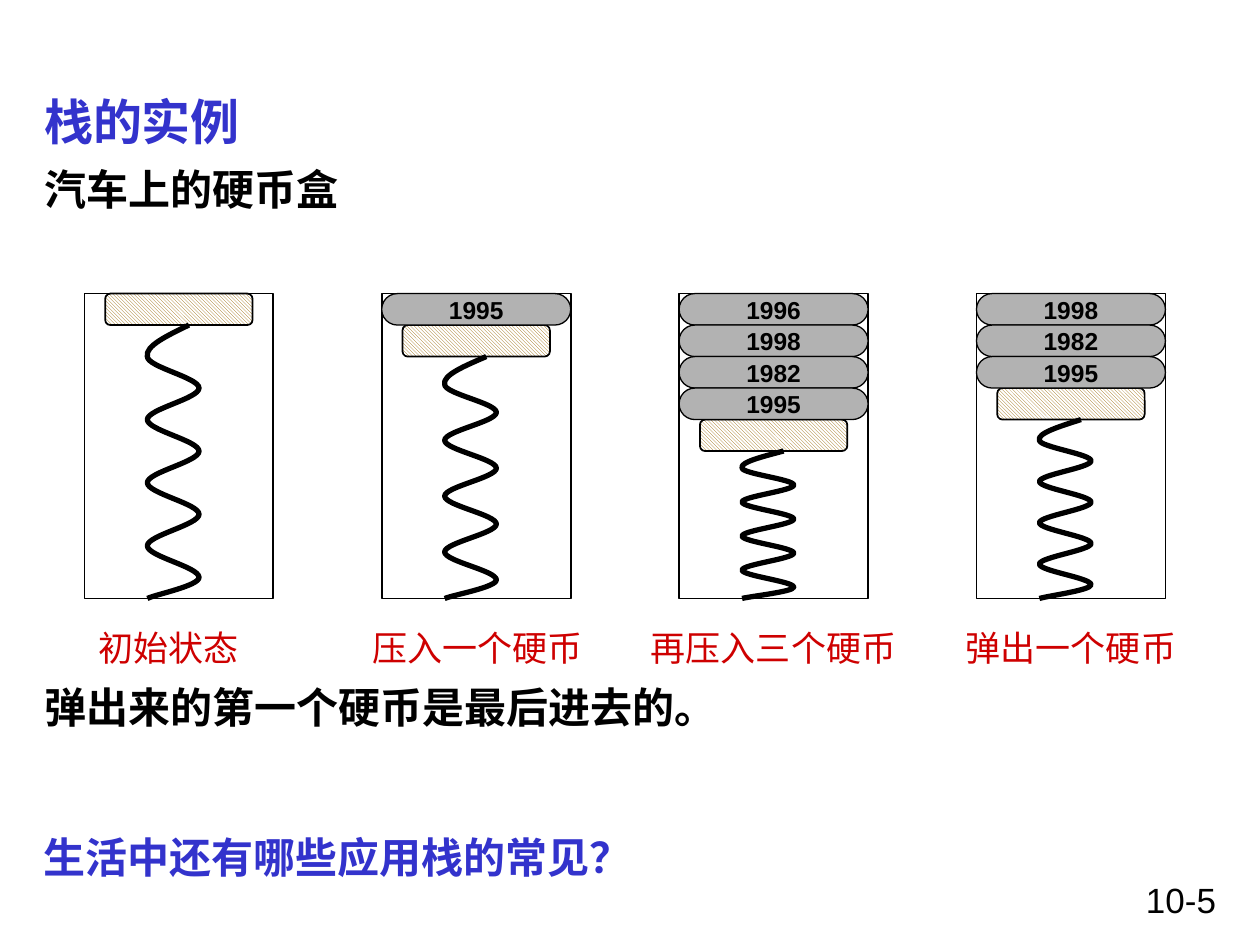
from lxml import etree
from pptx import Presentation
from pptx.dml.color import RGBColor
from pptx.enum.dml import MSO_PATTERN
from pptx.enum.shapes import MSO_SHAPE
from pptx.enum.text import MSO_ANCHOR, MSO_AUTO_SIZE, PP_ALIGN
from pptx.oxml.ns import qn
from pptx.util import Inches, Pt

BLACK = RGBColor(0x00, 0x00, 0x00)
WHITE = RGBColor(0xFF, 0xFF, 0xFF)
BLUE = RGBColor(0x33, 0x33, 0xCC)
RED = RGBColor(0xCE, 0x00, 0x00)
GRAY = RGBColor(0xB2, 0xB2, 0xB2)
BROWN = RGBColor(0x99, 0x66, 0x00)

RECT, ROUNDED = MSO_SHAPE.RECTANGLE, MSO_SHAPE.ROUNDED_RECTANGLE
HATCH = MSO_PATTERN.DARK_DOWNWARD_DIAGONAL
LEFT, CENTER, RIGHT = PP_ALIGN.LEFT, PP_ALIGN.CENTER, PP_ALIGN.RIGHT
TOP, MIDDLE = MSO_ANCHOR.TOP, MSO_ANCHOR.MIDDLE
NO_FIT = MSO_AUTO_SIZE.NONE

LAYER = 0.25
HOLDER_LEFT, HOLDER_TOP, HOLDER_STEP = 0.67, 2.33, 2.36
HOLDER_WIDTH, HOLDER_HEIGHT = 1.5, 2.42
STAGES = [
    ("初始状态", 1.34, []),
    ("压入一个硬币", 3.79, ["1995"]),
    ("再压入三个硬币", 6.14, ["1996", "1998", "1982", "1995"]),
    ("弹出一个硬币", 8.5, ["1998", "1982", "1995"]),
]


def set_values(target, values):
    """Set every attribute of the target named in values."""
    for name, value in values.items():
        setattr(target, name, value)


def write(paragraph, text, size, color, bold=False, align=LEFT):
    """Write one formatted run into a paragraph."""
    paragraph.alignment = align
    run = paragraph.add_run()
    run.text = text
    set_values(run.font, {"name": "Arial", "size": Pt(size), "bold": bold})
    run.font.color.rgb = color


def place(shape, box):
    """Move a placeholder to a box given in inches."""
    sides = ("left", "top", "width", "height")
    set_values(shape, dict(zip(sides, map(Inches, box))))


def add_label(slide, box, text, size, color, bold=False, align=LEFT,
              anchor=TOP, wrap=True):
    """Add a single-line text box."""
    frame = slide.shapes.add_textbox(*map(Inches, box)).text_frame
    set_values(frame, {"word_wrap": wrap, "vertical_anchor": anchor})
    write(frame.paragraphs[0], text, size, color, bold, align)


def add_block(slide, kind, box, color, line_width, corner=None):
    """Add a filled preset shape with a black outline."""
    block = slide.shapes.add_shape(kind, *map(Inches, box))
    block.shadow.inherit = False
    block.fill.solid()
    block.fill.fore_color.rgb = color
    block.line.color.rgb = BLACK
    block.line.width = Pt(line_width)
    if corner is not None:
        block.adjustments[0] = corner
    return block


def add_plate(slide, box):
    """Add the hatched plate that carries the coins."""
    fill = add_block(slide, ROUNDED, box, WHITE, 1, 0.167).fill
    fill.patterned()
    fill.pattern = HATCH
    fill.fore_color.rgb = BROWN
    fill.back_color.rgb = WHITE


def add_coin(slide, box, year):
    """Add one coin with its year."""
    frame = add_block(slide, ROUNDED, box, GRAY, 0.75, 0.5).text_frame
    set_values(frame, {"word_wrap": False, "vertical_anchor": MIDDLE})
    write(frame.paragraphs[0], year, 14, BLACK, True, CENTER)


def add_spring(slide, box):
    """Draw a spring of Bezier half turns that fills the box."""
    left, top, width, height = box
    near, far = left + 0.02, left + width
    turn = height * 3 / 26
    points = [(left + 0.35, top), (left + 0.18, top + turn / 3),
              (left, top + turn * 2 / 3), (near, top + turn)]
    for index in range(1, 8):
        start, end = (near, far) if index % 2 else (far, near)
        y = top + index * turn
        points += [(start, y + turn / 3), (end, y + turn * 2 / 3), (end, y + turn)]
    tail = height - 8 * turn
    points += [(far, top + height - tail * 0.6),
               (near + 0.07, top + height - tail * 0.2), (near, top + height)]

    corners = [(Inches(x), Inches(y)) for x, y in points]
    builder = slide.shapes.build_freeform(*corners[0])
    builder.add_line_segments(corners[1:], close=False)
    spring = builder.convert_to_shape()
    outline = spring._element.xpath(".//a:path")[0]
    segments = outline.findall(qn("a:lnTo"))
    for first in range(0, len(segments), 3):
        curve = etree.SubElement(outline, qn("a:cubicBezTo"))
        for segment in segments[first:first + 3]:
            curve.append(segment[0])
            outline.remove(segment)
    spring.shadow.inherit = False
    spring.fill.background()
    spring.line.color.rgb = BLACK
    spring.line.width = Pt(3)


def add_holder(slide, box, years):
    """Draw a coin holder: case, plate, spring and stacked coins."""
    left, top, width, height = box
    add_block(slide, RECT, box, WHITE, 1)
    plate_top = top + LAYER * len(years)
    add_plate(slide, (left + 0.165, plate_top, 1.17, LAYER))
    spring_top = plate_top + LAYER
    add_spring(slide, (left + 0.48, spring_top, 0.43, top + height - spring_top))
    for level, year in enumerate(years):
        add_coin(slide, (left, top + level * LAYER, width, LAYER), year)


def add_title(slide, box):
    """Fill the title placeholder."""
    title = slide.shapes.title
    place(title, box)
    set_values(title.text_frame, {"vertical_anchor": MIDDLE, "auto_size": NO_FIT})
    write(title.text_frame.paragraphs[0], "栈的实例", 28, BLUE, True)


def add_body(slide, box):
    """Fill the body placeholder with the statements around the holders."""
    body = slide.placeholders[1]
    place(body, box)
    frame = body.text_frame
    set_values(frame, {"vertical_anchor": TOP, "auto_size": NO_FIT})
    statements = [("汽车上的硬币盒", 0), ("弹出来的第一个硬币是最后进去的。", 267)]
    for index, (text, gap) in enumerate(statements):
        paragraph = frame.add_paragraph() if index else frame.paragraphs[0]
        write(paragraph, text, 24, BLACK, True)
        paragraph.space_before = Pt(gap)
        properties = paragraph._p.get_or_add_pPr()
        properties.set("marL", "0")
        properties.set("indent", "0")
        etree.SubElement(properties, qn("a:buNone"))


def main():
    """Build the slide and save it."""
    deck = Presentation()
    set_values(deck, {"slide_width": Inches(10), "slide_height": Inches(7.5)})
    slide = deck.slides.add_slide(deck.slide_layouts[1])
    add_title(slide, (0.25, 0.67, 9.5, 0.58))
    add_body(slide, (0.25, 1.25, 9.5, 5.42))
    for index, (caption, middle, years) in enumerate(STAGES):
        left = HOLDER_LEFT + index * HOLDER_STEP
        add_holder(slide, (left, HOLDER_TOP, HOLDER_WIDTH, HOLDER_HEIGHT), years)
        width = 0.2 + 0.28 * len(caption)
        add_label(slide, (middle - width / 2, 4.92, width, 0.44), caption,
                  20, RED, align=CENTER, wrap=False)
    add_label(slide, (0.25, 6.51, 9.5, 0.58), "生活中还有哪些应用栈的常见？",
              24, BLUE, True, anchor=MIDDLE)
    add_label(slide, (7.17, 6.92, 2.58, 0.42), "10-5", 20, BLACK, align=RIGHT)
    deck.save("out.pptx")


if __name__ == "__main__":
    main()
